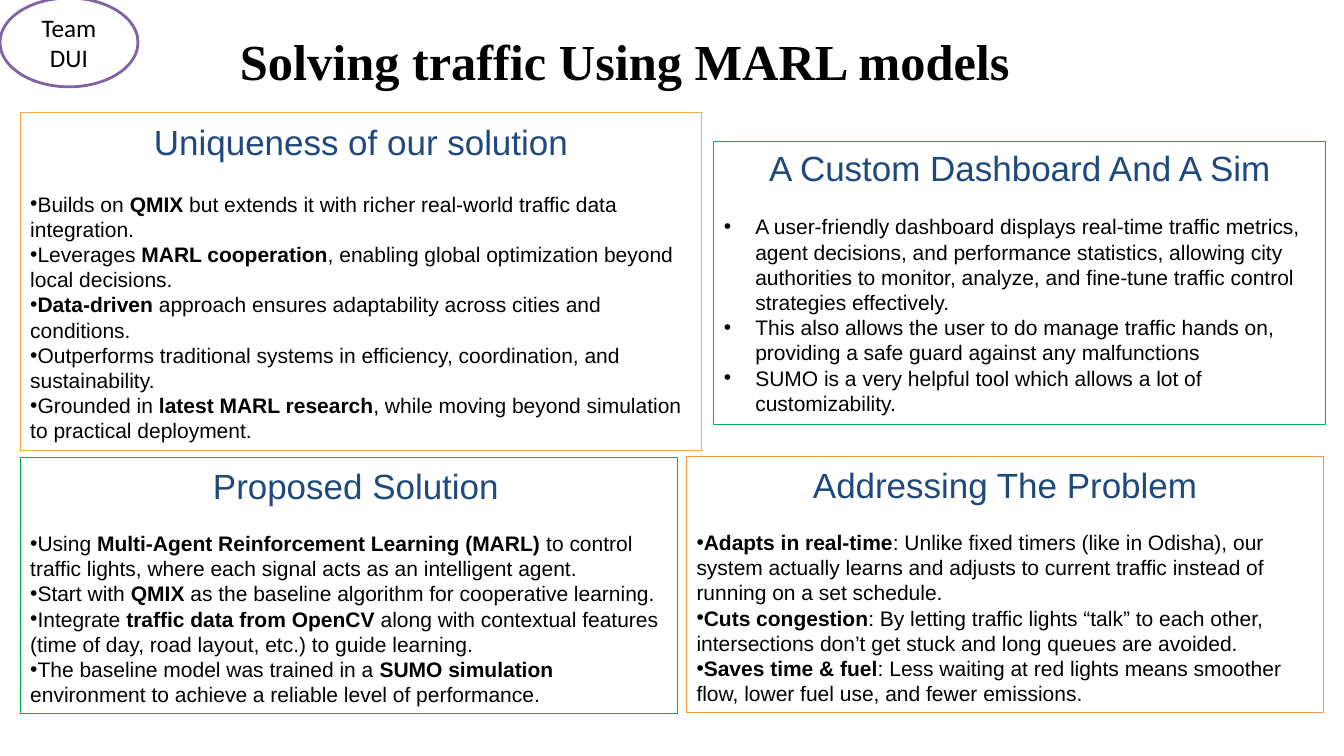
from lxml import etree
from pptx import Presentation
from pptx import util as u
from pptx.dml.color import RGBColor
from pptx.enum import shapes, text
from pptx.oxml.ns import qn

COLORS = {"black": "000000", "white": "FFFFFF", "navy": "1F497D", "purple": "8064A2",
          "green": "00B050", "amber": "FFA751", "orange": "F79646"}


def rgb(name):
    return RGBColor.from_string(COLORS[name])


def write(tf, content, first=False, size=15, font="Arial", color="black", bold=False,
          align=text.PP_ALIGN.LEFT, bullet=False, left=0, hang=0, after=0):
    """Write one paragraph; **double stars** mark bold words."""
    p = tf.paragraphs[0] if first else tf.add_paragraph()
    pPr = p._p.get_or_add_pPr()
    pPr.set("marL", str(u.Pt(left)))
    pPr.set("indent", str(u.Pt(-hang)))
    if bullet:
        etree.SubElement(pPr, qn("a:buFont")).set("typeface", "Arial")
        etree.SubElement(pPr, qn("a:buChar")).set("char", "•")
    else:
        etree.SubElement(pPr, qn("a:buNone"))
    p.alignment = align
    p.space_before, p.space_after = u.Pt(0), u.Pt(after)
    for i, part in enumerate(content.split("**")):
        if part:
            r = p.add_run()
            r.text = part
            r.font.size, r.font.name = u.Pt(size), font
            r.font.bold = bold or i % 2 == 1
            r.font.color.rgb = rgb(color)


prs = Presentation()
prs.slide_width, prs.slide_height = u.Pt(960), u.Pt(540)
s = prs.slides.add_slide(prs.slide_layouts.get_by_name("Comparison"))
CENTER = text.PP_ALIGN.CENTER
MIDDLE, TOP = text.MSO_ANCHOR.MIDDLE, text.MSO_ANCHOR.TOP

# Title
title = s.shapes.title
title.left, title.top, title.width, title.height = u.Pt(14.4), u.Pt(12), u.Pt(864), u.Pt(62)
title.text_frame.auto_size = text.MSO_AUTO_SIZE.NONE
title.text_frame.vertical_anchor = MIDDLE
write(title.text_frame, "Solving traffic Using MARL models", first=True, size=36,
      font="Times New Roman", bold=True, align=CENTER)

# Team badge
badge = s.shapes.add_shape(shapes.MSO_SHAPE.OVAL, u.Pt(0), u.Pt(-1.4), u.Pt(98.6), u.Pt(63.4))
badge.shadow.inherit = False
badge.fill.solid()
badge.fill.fore_color.rgb = rgb("white")
badge.line.color.rgb = rgb("purple")
badge.line.width = u.Pt(2)
badge.text_frame.vertical_anchor = MIDDLE
for i, word in enumerate(["Team", "DUI"]):
    write(badge.text_frame, word, first=i == 0, size=18, font="Calibri", align=CENTER)

# Panels: box, outline, anchor, heading, heading indent, gap below it, bullet indent, bullets
panels = [
    ((14.4, 326.9, 469.4, 182.9), "green", MIDDLE, "Proposed Solution", 10, 17.2, 0, [
        "Using **Multi-Agent Reinforcement Learning (MARL)** to control traffic lights, "
        "where each signal acts as an intelligent agent.",
        "Start with **QMIX** as the baseline algorithm for cooperative learning.",
        "Integrate **traffic data from OpenCV** along with contextual features "
        "(time of day, road layout, etc.) to guide learning.",
        "The baseline model was trained in a **SUMO simulation **environment to achieve "
        "a reliable level of performance."]),
    ((14.4, 80.6, 486.7, 241.2), "amber", MIDDLE, "Uniqueness of our solution", 0, 20.7, 0, [
        "Builds on **QMIX** but extends it with richer real-world traffic data integration.",
        "Leverages **MARL cooperation**, enabling global optimization beyond local decisions.",
        "**Data-driven** approach ensures adaptability across cities and conditions.",
        "Outperforms traditional systems in efficiency, coordination, and sustainability.",
        "Grounded in **latest MARL research**, while moving beyond simulation to "
        "practical deployment."]),
    ((490.3, 326.2, 455, 182.9), "orange", MIDDLE, "Addressing The Problem", 0, 17.2, 0, [
        "**Adapts in real-time**: Unlike fixed timers (like in Odisha), our system actually "
        "learns and adjusts to current traffic instead of running on a set schedule.",
        "**Cuts congestion**: By letting traffic lights “talk” to each other, intersections "
        "don’t get stuck and long queues are avoided.",
        "**Saves time & fuel**: Less waiting at red lights means smoother flow, "
        "lower fuel use, and fewer emissions."]),
    ((509.8, 100.8, 437, 202.3), "green", TOP, "A Custom Dashboard And A Sim", 0, 18.4, 22.5, [
        "A user-friendly dashboard displays real-time traffic metrics, agent decisions, and "
        "performance statistics, allowing city authorities to monitor, analyze, and "
        "fine-tune traffic control strategies effectively.",
        "This also allows the user to do manage traffic hands on, providing a safe guard "
        "against any malfunctions",
        "SUMO is a very helpful tool which allows a lot of customizability."]),
]
bodies = [ph for ph in s.placeholders if ph.placeholder_format.idx > 0]
for sp, (box, outline, anchor, heading, shift, gap, indent, bullets) in zip(bodies, panels):
    sp.left, sp.top, sp.width, sp.height = [u.Pt(v) for v in box]
    sp.line.color.rgb = rgb(outline)
    sp.line.width = u.Pt(0.75)
    tf = sp.text_frame
    tf.auto_size = text.MSO_AUTO_SIZE.NONE
    tf.vertical_anchor = anchor
    write(tf, heading, first=True, size=25, color="navy", align=CENTER, left=shift, after=gap)
    for bullet in bullets:
        write(tf, bullet, bullet=True, left=indent, hang=indent)

prs.save("out.pptx")
